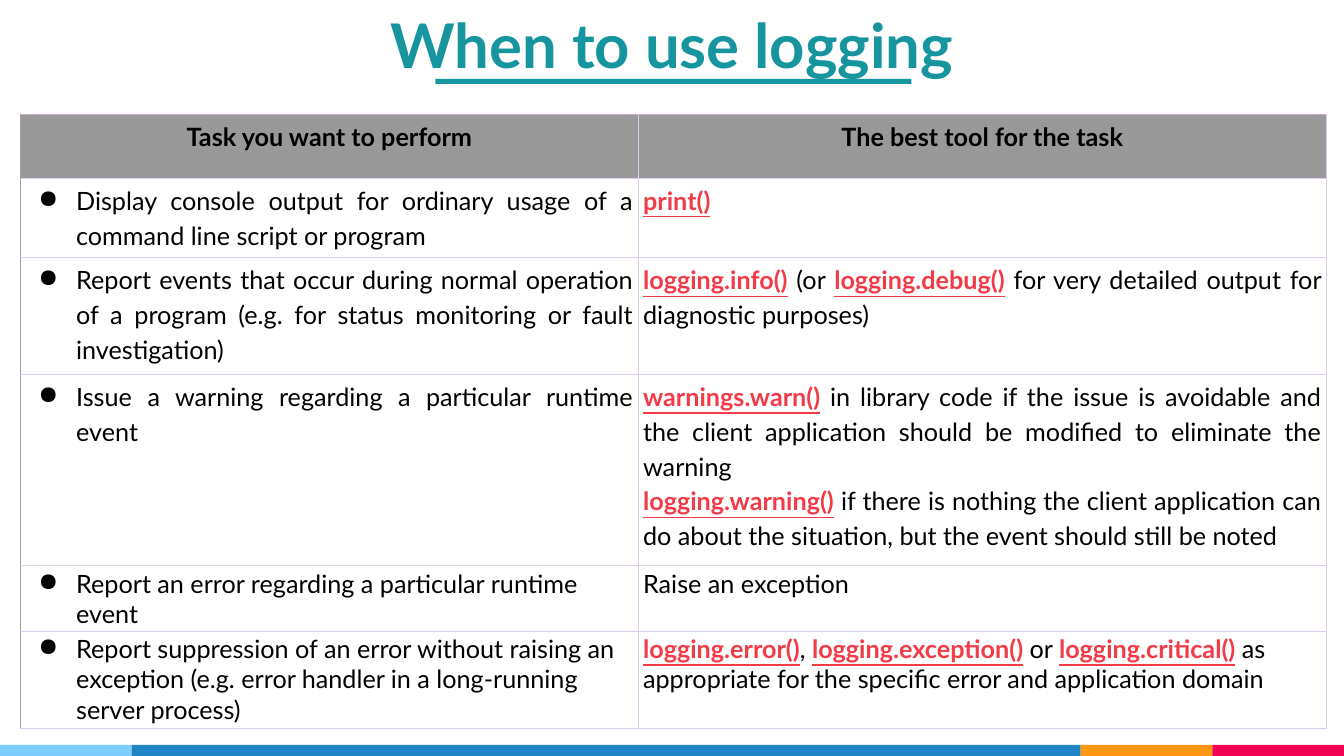
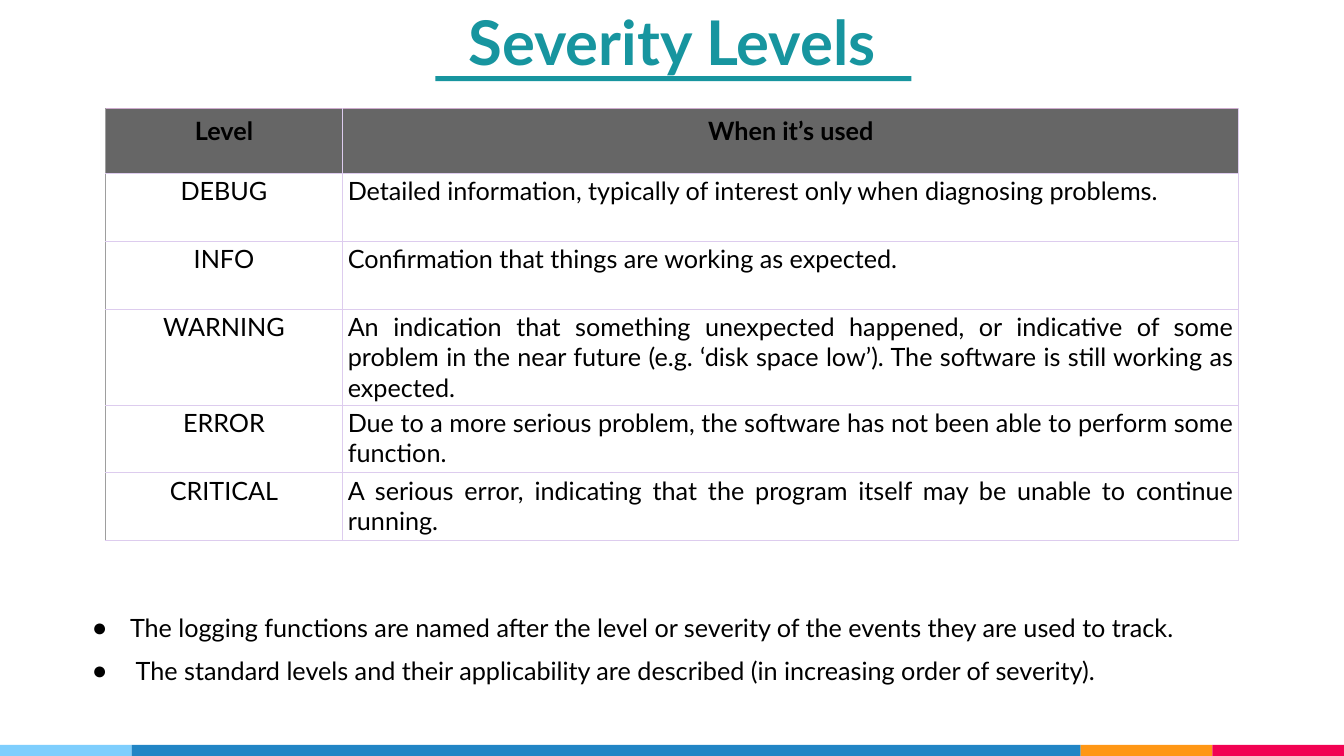
from lxml.etree import SubElement
from pptx import Presentation
from pptx.dml.color import RGBColor
from pptx.enum.shapes import MSO_SHAPE as Shape
from pptx.enum.text import MSO_ANCHOR as Anchor, MSO_AUTO_SIZE as AutoSize, PP_ALIGN as Align
from pptx.oxml.ns import qn
from pptx.util import Pt

FONT = "Lato"
COLORS = {
    "title": "17959F", "text": "000000", "code": "F33B48",
    "header light": "999999", "header dark": "666666",
    "grid": "DDCCEE", "grid left": "9E9E9E", "grid top": "CCAACC",
    "sky": "7ECEFD", "blue": "2185C5", "orange": "FF9715", "pink": "F20253",
}
FOOTER_BANDS = [("sky", 94), ("blue", 678), ("orange", 94), ("pink", 94)]
INSETS = (3.6, 1.8)


def rgb(name):
    return RGBColor.from_string(COLORS[name])


def set_bullet(paragraph):
    props = paragraph._p.get_or_add_pPr()
    props.set("marL", str(Pt(36)))
    props.set("indent", str(Pt(-27)))
    color = SubElement(props, qn("a:buClr"))
    SubElement(color, qn("a:srgbClr"), val=COLORS["text"])
    SubElement(props, qn("a:buChar"), char="●")


def write(frame, text, size=18, color="text", bold=False, align=Align.LEFT,
          spacing=1.0, bullet=False):
    """Fill a text frame: one paragraph a line, code between backticks."""
    for index, line in enumerate(text.split("\n")):
        paragraph = frame.add_paragraph() if index else frame.paragraphs[0]
        paragraph.alignment = align
        paragraph.line_spacing = spacing
        paragraph.space_before = Pt(0)
        if bullet:
            set_bullet(paragraph)
        for number, part in enumerate(line.split("`")):
            if not part:
                continue
            is_code = number % 2 == 1
            run = paragraph.add_run()
            run.text = part
            run.font.name, run.font.size = FONT, Pt(size)
            run.font.bold = bold or is_code
            run.font.underline = is_code
            run.font.color.rgb = rgb("code" if is_code else color)


def set_borders(cell, first_row, first_column):
    sides = {
        "a:lnL": "grid left" if first_column else "grid",
        "a:lnR": "grid",
        "a:lnT": "grid top" if first_row else "grid",
        "a:lnB": "grid",
    }
    props = cell._tc.get_or_add_tcPr()
    for index, (tag, color) in enumerate(sides.items()):
        line = SubElement(props, qn(tag), w=str(Pt(0.75)))
        fill = SubElement(line, qn("a:solidFill"))
        SubElement(fill, qn("a:srgbClr"), val=COLORS[color])
        props.insert(index, line)


class Deck:
    def __init__(self):
        self.file = Presentation()
        self.file.slide_width, self.file.slide_height = Pt(960), Pt(540)
        self.slide = None

    def start(self, title, top, layout):
        """Open a slide with its footer bands and underlined title."""
        self.slide = self.file.slides.add_slide(self.file.slide_layouts[layout])
        left = 0
        for color, width in FOOTER_BANDS:
            self.band(left, 532, width, 8, color)
            left += width
        frame = self.place(self.slide.shapes.title, 68, top, 824, 57, INSETS, Anchor.TOP)
        write(frame, title, size=44, color="title", bold=True, align=Align.CENTER)
        self.band(311, top + 53.5, 340, 3.6, "title")

    def band(self, left, top, width, height, color):
        band = self.slide.shapes.add_shape(
            Shape.RECTANGLE, Pt(left), Pt(top), Pt(width), Pt(height))
        band.shadow.inherit = False
        band.fill.solid()
        band.fill.fore_color.rgb = rgb(color)
        band.line.fill.background()

    def place(self, holder, left, top, width, height, insets, anchor):
        """Move a placeholder and return its prepared text frame."""
        holder.left, holder.top = Pt(left), Pt(top)
        holder.width, holder.height = Pt(width), Pt(height)
        frame = holder.text_frame
        frame.word_wrap, frame.auto_size = True, AutoSize.NONE
        frame.vertical_anchor = anchor
        frame.margin_left = frame.margin_right = Pt(insets[0])
        frame.margin_top = frame.margin_bottom = Pt(insets[1])
        return frame

    def bullets(self, text, left, top, width, height):
        frame = self.place(self.slide.placeholders[1], left, top, width, height,
                           (7.2, 7.2), Anchor.MIDDLE)
        write(frame, text, align=Align.JUSTIFY, spacing=1.42, bullet=True)

    def table(self, left, top, widths, heights, rows, header_fill, formats):
        """Draw a grid; formats gives the text format of a body cell."""
        table = self.slide.shapes.add_table(
            len(rows), len(widths), Pt(left), Pt(top),
            Pt(sum(widths)), Pt(sum(heights))).table
        table.first_row = table.horz_banding = False
        for column, width in zip(table.columns, widths):
            column.width = Pt(width)
        for r, (texts, height) in enumerate(zip(rows, heights)):
            table.rows[r].height = Pt(height)
            for c, text in enumerate(texts):
                cell = table.cell(r, c)
                cell.margin_left = cell.margin_right = Pt(INSETS[0])
                cell.margin_top = cell.margin_bottom = Pt(INSETS[1])
                if r == 0:
                    cell.fill.solid()
                    cell.fill.fore_color.rgb = rgb(header_fill)
                    style = dict(bold=True, align=Align.CENTER, spacing=1.15)
                else:
                    cell.fill.background()
                    style = formats(r, c)
                set_borders(cell, r == 0, c == 0)
                write(cell.text_frame, text, **style)


TASKS = [
    ("Task you want to perform", "The best tool for the task"),
    ("Display console output for ordinary usage of a command line script or program",
     "`print()`"),
    ("Report events that occur during normal operation of a program "
     "(e.g. for status monitoring or fault investigation)",
     "`logging.info()` (or `logging.debug()` for very detailed output "
     "for diagnostic purposes)"),
    ("Issue a warning regarding a particular runtime event",
     "`warnings.warn()` in library code if the issue is avoidable and the client "
     "application should be modified to eliminate the warning\n"
     "`logging.warning()` if there is nothing the client application can do about "
     "the situation, but the event should still be noted"),
    ("Report an error regarding a particular runtime event", "Raise an exception"),
    ("Report suppression of an error without raising an exception "
     "(e.g. error handler in a long-running server process)",
     "`logging.error()`, `logging.exception()` or `logging.critical()` "
     "as appropriate for the specific error and application domain"),
]
LEVELS = [
    ("Level", "When it’s used"),
    ("DEBUG", "Detailed information, typically of interest only when diagnosing problems."),
    ("INFO", "Confirmation that things are working as expected."),
    ("WARNING", "An indication that something unexpected happened, or indicative of some "
     "problem in the near future (e.g. ‘disk space low’). "
     "The software is still working as expected."),
    ("ERROR", "Due to a more serious problem, the software has not been able "
     "to perform some function."),
    ("CRITICAL", "A serious error, indicating that the program itself may be unable "
     "to continue running."),
]
NOTES = ("The logging functions are named after the level or severity of the events "
         "they are used to track.\n"
         " The standard levels and their applicability are described "
         "(in increasing order of severity).")


def task_format(row, column):
    """The first three tasks are justified and looser than the rest."""
    loose = row <= 3
    return dict(align=Align.JUSTIFY if loose else Align.LEFT,
                spacing=1.15 if loose else 1.0, bullet=column == 0)


def level_format(row, column):
    return dict(align=Align.JUSTIFY if column else Align.CENTER)


def main():
    deck = Deck()

    # Tasks and tools
    deck.start("When to use logging", top=2.9, layout=5)
    deck.table(14.8, 81.5, [441, 491.7], [46, 56.7, 83.5, 136.5, 46.3, 69.5],
               TASKS, "header light", task_format)

    # Severity levels
    deck.start("Severity Levels", top=0.9, layout=1)
    deck.table(75.2, 77.5, [169.6, 640], [46.5, 48.5, 48.5, 67.2, 48.5, 48.5],
               LEVELS, "header dark", level_format)
    deck.bullets(NOTES, 49.7, 427, 862.6, 64)

    deck.file.save("out.pptx")


if __name__ == "__main__":
    main()
